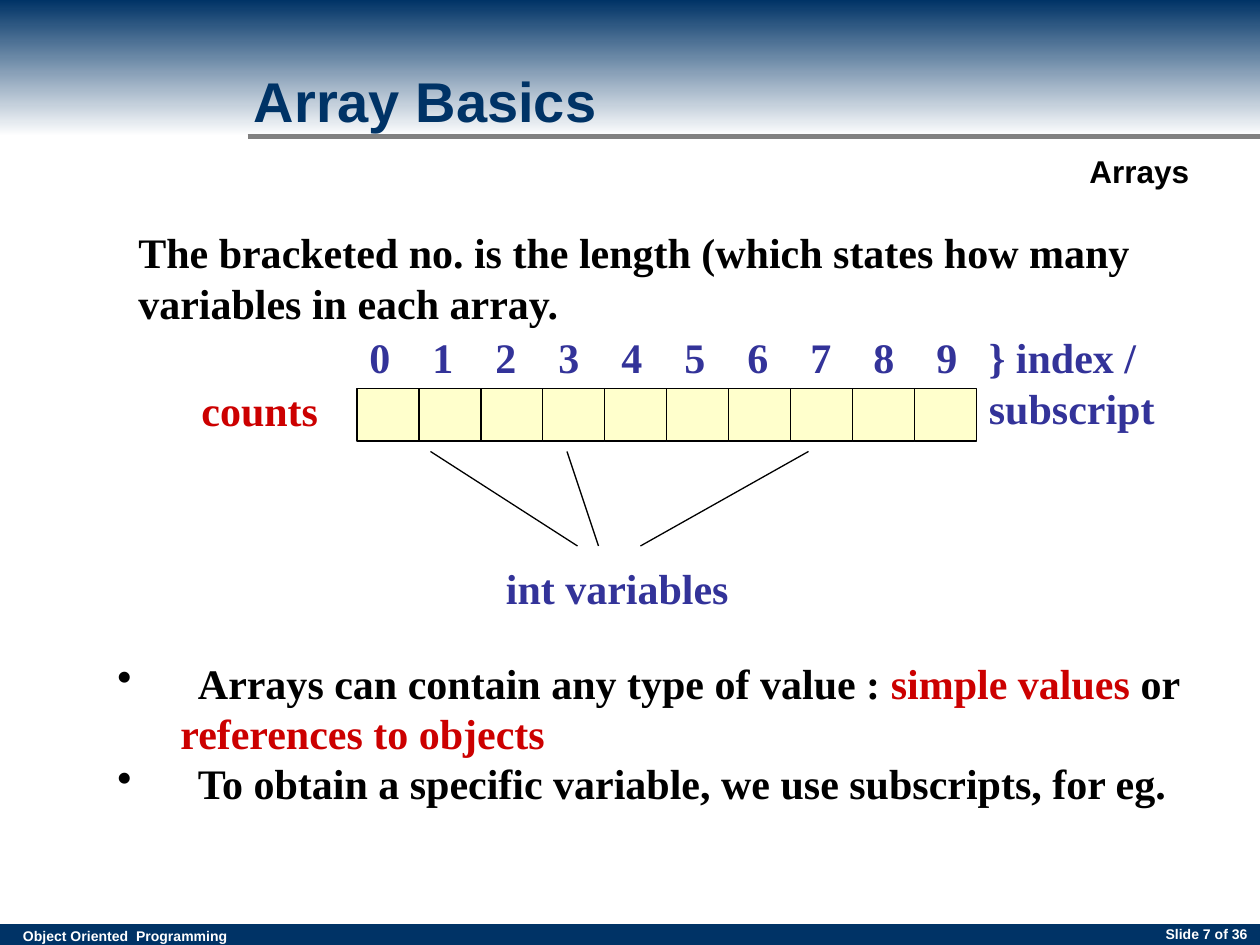
from dataclasses import dataclass

from lxml.etree import SubElement
from pptx import Presentation
from pptx.dml.color import RGBColor
from pptx.enum.shapes import MSO_CONNECTOR, MSO_SHAPE
from pptx.enum.text import MSO_ANCHOR, PP_ALIGN
from pptx.oxml.ns import qn
from pptx.util import Pt


@dataclass(frozen=True)
class Theme:
    navy: RGBColor = RGBColor(0x00, 0x33, 0x66)
    white: RGBColor = RGBColor(0xFF, 0xFF, 0xFF)
    black: RGBColor = RGBColor(0x00, 0x00, 0x00)
    gray: RGBColor = RGBColor(0x80, 0x80, 0x80)
    indigo: RGBColor = RGBColor(0x33, 0x33, 0x99)
    red: RGBColor = RGBColor(0xCC, 0x00, 0x00)
    cream: RGBColor = RGBColor(0xFF, 0xFF, 0xCC)
    heading_font: str = "Arial"
    body_font: str = "Times New Roman"
    title: int = 32
    body: int = 24
    section: int = 18
    footer: int = 8


theme = Theme()
prs = Presentation()
prs.slide_width, prs.slide_height = Pt(720), Pt(540)
slide = prs.slides.add_slide(prs.slide_layouts[6])


def add_text(left, top, width, height, paragraphs, color=theme.black,
             size=theme.body, font=theme.body_font):
    """Each paragraph is a list of (text, color) runs; color None means the default."""
    frame = slide.shapes.add_textbox(Pt(left), Pt(top), Pt(width), Pt(height)).text_frame
    frame.word_wrap = True
    for i, runs in enumerate(paragraphs):
        paragraph = frame.add_paragraph() if i else frame.paragraphs[0]
        paragraph.font.name, paragraph.font.size = font, Pt(size)
        paragraph.font.bold = True
        paragraph.font.color.rgb = color
        for text, run_color in runs:
            run = paragraph.add_run()
            run.text = text
            if run_color is not None:
                run.font.color.rgb = run_color
    return frame


def add_line(x1, y1, x2, y2, color=theme.black, weight=0.75):
    line = slide.shapes.add_connector(MSO_CONNECTOR.STRAIGHT, Pt(x1), Pt(y1), Pt(x2), Pt(y2))
    line.line.color.rgb = color
    line.line.width = Pt(weight)
    SubElement(line._element.spPr, qn("a:effectLst"))


# Footer bar and header gradient
footer_bar = slide.shapes.add_shape(MSO_SHAPE.RECTANGLE, 0, Pt(528), Pt(720), Pt(12))
footer_bar.fill.solid()
footer_bar.fill.fore_color.rgb = theme.navy
header = slide.shapes.add_shape(MSO_SHAPE.RECTANGLE, 0, 0, Pt(720), Pt(78))
header.fill.gradient()
header.fill.gradient_angle = 270
for stop, position, color in zip(header.fill.gradient_stops, (0, 1), (theme.navy, theme.white)):
    stop.position = position
    stop.color.rgb = color
for band in (footer_bar, header):
    band.shadow.inherit = False
    band.line.fill.background()
add_line(141.5, 78, 720, 78, theme.gray, 3)

# Title, section name and footer texts
title = add_text(138, 12, 468, 90, [[("Array Basics", None)]],
                 theme.navy, theme.title, theme.heading_font)
title.vertical_anchor = MSO_ANCHOR.MIDDLE
section = add_text(615.5, 83.5, 71.5, 29, [[("Arrays", None)]],
                   size=theme.section, font=theme.heading_font)
section.word_wrap = False
add_text(6, 526.5, 135, 17, [[("Object Oriented  Programming", None)]],
         theme.white, theme.footer, theme.heading_font)
slide_number = add_text(552, 525.5, 168, 19, [[("Slide 7 of 36", None)]],
                        theme.white, theme.footer, theme.heading_font)
slide_number.paragraphs[0].alignment = PP_ALIGN.RIGHT

# Introduction
add_text(72, 126, 648, 65, [[(
    "The bracketed no. is the length (which states how many variables in each array.", None)]])

# Array cells
array_left, cell_width, cell_count = 204, 35.4, 10
for i in range(cell_count):
    cell = slide.shapes.add_shape(MSO_SHAPE.RECTANGLE, Pt(array_left + i * cell_width), Pt(222),
                                  Pt(cell_width), Pt(30))
    cell.shadow.inherit = False
    cell.fill.solid()
    cell.fill.fore_color.rgb = theme.cream
    cell.line.color.rgb = theme.black
    cell.line.width = Pt(0.75)

# Array name and indices, spread by tab stops
add_text(108, 216, 96, 36, [[("counts", None)]], theme.red)
indices = add_text(array_left, 186, 354, 36,
                   [[("\t".join(str(i) for i in range(cell_count)), None)]], theme.indigo)
index_format = indices.paragraphs[0]._p.get_or_add_pPr()
tab_list = index_format.makeelement(qn("a:tabLst"), {})
index_format.insert(0, tab_list)
for i in range(1, cell_count):
    SubElement(tab_list, qn("a:tab"), pos=str(Pt(36 * i)), algn="l")
add_text(558, 186, 162, 65, [[("} index / subscript", None)]], theme.indigo)

# Lines from the cells to their label
for cell_x, label_x in ((246, 330), (324, 342), (462, 366)):
    add_line(cell_x, 258, label_x, 312)
add_text(282, 318, 168, 36, [[("int variables", None)]], theme.indigo)

# Bullet points
points = add_text(60, 372, 624, 94, [
    [("Arrays can contain any type of value : ", None), ("simple values", theme.red),
     (" or", None)],
    [("references to objects", theme.red)],
    [("To obtain a specific variable, we use subscripts, for eg.", None)],
])
for paragraph, margin, bulleted in zip(points.paragraphs, (46, 36, 46), (True, False, True)):
    point_format = paragraph._p.get_or_add_pPr()
    point_format.set("marL", str(Pt(margin)))
    point_format.set("indent", str(Pt(-margin if bulleted else 0)))
    if bulleted:
        bullet = point_format.makeelement(qn("a:buChar"), {"char": "•"})
        point_format.insert(0, bullet)

prs.save("out.pptx")
